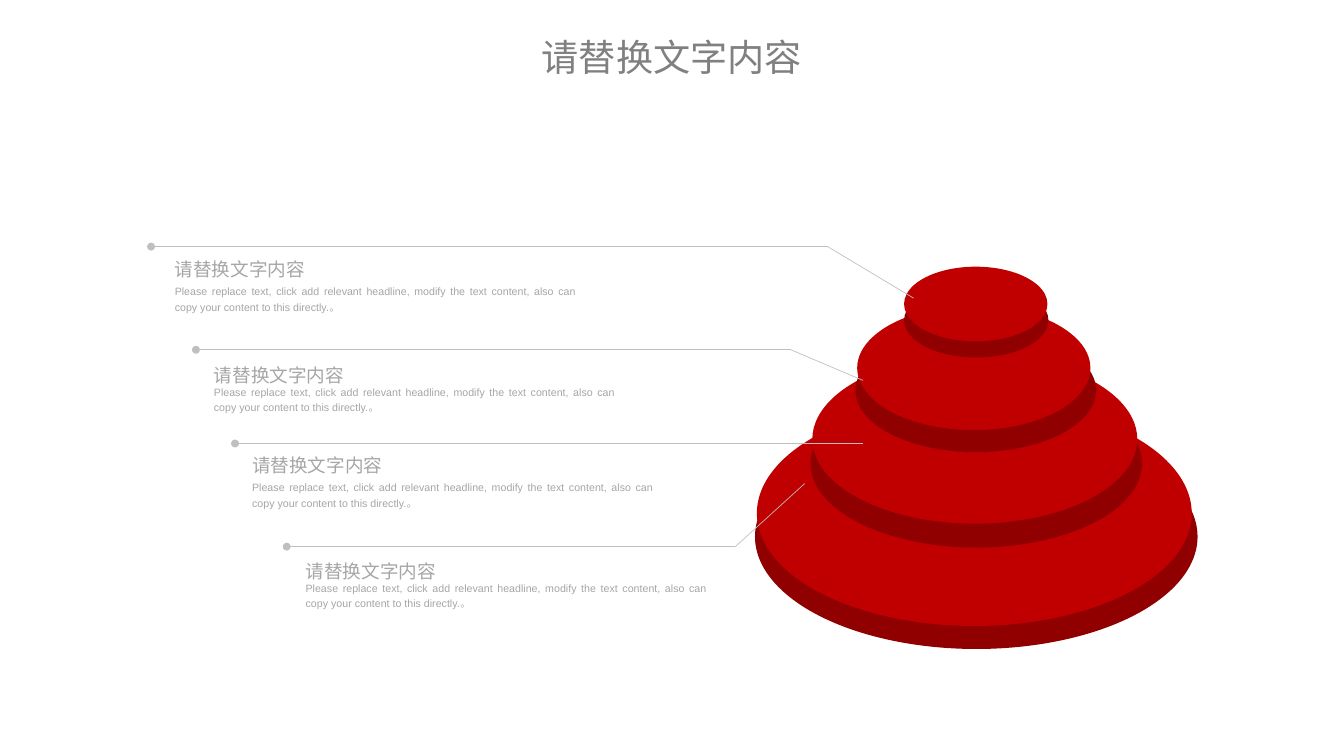
import pptx
import pptx.util
import pptx.dml.color
import pptx.enum.shapes
import pptx.enum.text
import pptx.oxml.ns
from lxml import etree

Pt = pptx.util.Pt
RGBColor = pptx.dml.color.RGBColor
ALIGN = pptx.enum.text.PP_ALIGN

FACE = RGBColor(0xC0, 0x00, 0x00)
SIDE = RGBColor(0x90, 0x00, 0x00)
RULE = RGBColor(0xBF, 0xBF, 0xBF)
TITLE_GRAY = RGBColor(0x80, 0x80, 0x80)
TEXT_GRAY = RGBColor(0xA6, 0xA6, 0xA6)

HEADING = "请替换文字内容"
DETAIL = ("Please replace text, click add relevant headline, modify the text content, "
          "also can copy your content to this directly.。")

TIERS = [
    {"side": (568.8, 319.7, 333.4, 169.2), "face": (570.2, 301.7, 327.6, 169.9)},
    {"side": (610.6, 285.8, 249.8, 126.7), "face": (612, 267.1, 244.8, 127.4)},
    {"side": (644.4, 247.7, 181.4, 92.9), "face": (645.8, 230.4, 175.7, 93.6)},
    {"side": (681.1, 213.1, 108.7, 56.2), "face": (681.1, 200.9, 108, 56.2)},
]

CALLOUTS = [
    {"dot": (113.8, 185.8), "bend": 623.5, "target": (688.3, 224.6),
     "text_left": 124.6, "heading_top": 187.2, "detail_top": 209.5},
    {"dot": (147.6, 263.5), "bend": 595.8, "target": (650.2, 286.6),
     "text_left": 154.1, "heading_top": 267.1, "detail_top": 285.1},
    {"dot": (177.1, 334.1), "bend": 650.2, "target": None,
     "text_left": 182.9, "heading_top": 334.8, "detail_top": 357.1},
    {"dot": (216, 411.8), "bend": 554, "target": (606.2, 364.3),
     "text_left": 223.2, "heading_top": 414.7, "detail_top": 432.7},
]


def fill_text(box, text, size, color, spacing, align):
    frame = box.text_frame
    frame.text = text
    frame.word_wrap = True
    frame.auto_size = pptx.enum.text.MSO_AUTO_SIZE.SHAPE_TO_FIT_TEXT
    frame.vertical_anchor = pptx.enum.text.MSO_ANCHOR.TOP
    para = frame.paragraphs[0]
    para.alignment = align
    para.line_spacing = spacing
    para.space_before = Pt(0)
    para.font.size = Pt(size)
    para.font.name = "Arial"
    para.font.color.rgb = color


def add_text(page, left, top, width, height, text, size, align):
    box = page.shapes.add_textbox(Pt(left), Pt(top), Pt(width), Pt(height))
    fill_text(box, text, size, TEXT_GRAY, 1.2, align)


def add_ellipse(page, bounds, color):
    ellipse = page.shapes.add_shape(
        pptx.enum.shapes.MSO_SHAPE.OVAL, *[Pt(length) for length in bounds])
    ellipse.shadow.inherit = False
    ellipse.fill.solid()
    ellipse.fill.fore_color.rgb = color
    ellipse.line.fill.background()


def add_line(page, start, end, dotted_end=False):
    line = page.shapes.add_connector(
        pptx.enum.shapes.MSO_CONNECTOR.STRAIGHT,
        *[Pt(length) for length in (*start, *end)])
    line.line.color.rgb = RULE
    line.line.width = Pt(0.5)
    if dotted_end:
        etree.SubElement(line.line._get_or_add_ln(),
                         pptx.oxml.ns.qn("a:tailEnd"), type="oval")
    etree.SubElement(line._element.spPr, pptx.oxml.ns.qn("a:effectLst"))


def add_title(page):
    title = page.shapes.title
    title.left, title.top, title.width, title.height = map(Pt, (393.8, 15.8, 224.6, 39.6))
    frame = title.text_frame
    frame.margin_left = frame.margin_top = frame.margin_right = frame.margin_bottom = 0
    fill_text(title, HEADING, 28, TITLE_GRAY, 1.3, ALIGN.CENTER)


def add_callout(page, callout):
    bend = (callout["bend"], callout["dot"][1])
    if callout["target"]:
        add_line(page, callout["target"], bend)
    add_line(page, bend, callout["dot"], dotted_end=True)
    left = callout["text_left"]
    add_text(page, left, callout["detail_top"], 316.8, 30.2, DETAIL, 8, ALIGN.JUSTIFY)
    add_text(page, left, callout["heading_top"], 124.6, 25.9, HEADING, 14, ALIGN.LEFT)


def main():
    deck = pptx.Presentation()
    deck.slide_width, deck.slide_height = Pt(1012.5), Pt(569.5)
    page = deck.slides.add_slide(deck.slide_layouts[5])
    add_title(page)
    for tier in TIERS:
        add_ellipse(page, tier["side"], SIDE)
        add_ellipse(page, tier["face"], FACE)
    for callout in CALLOUTS:
        add_callout(page, callout)
    deck.save("out.pptx")


if __name__ == "__main__":
    main()
